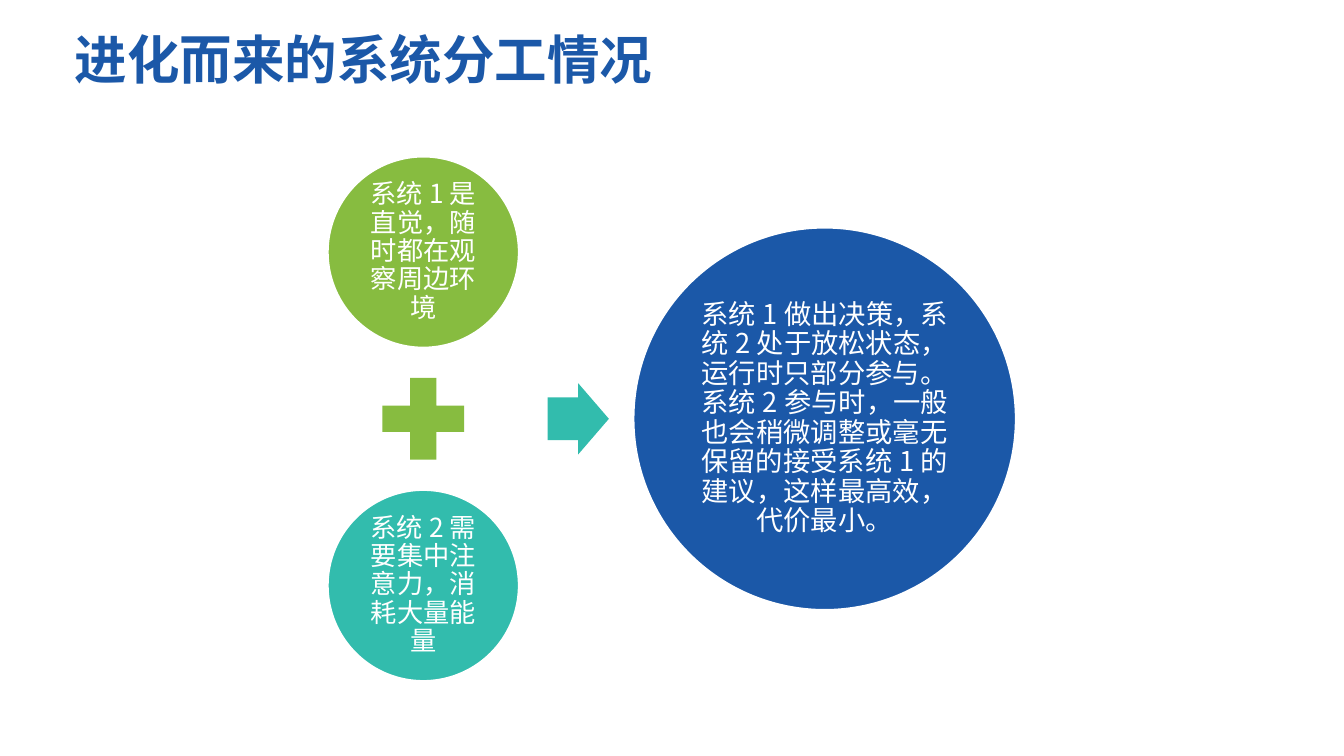
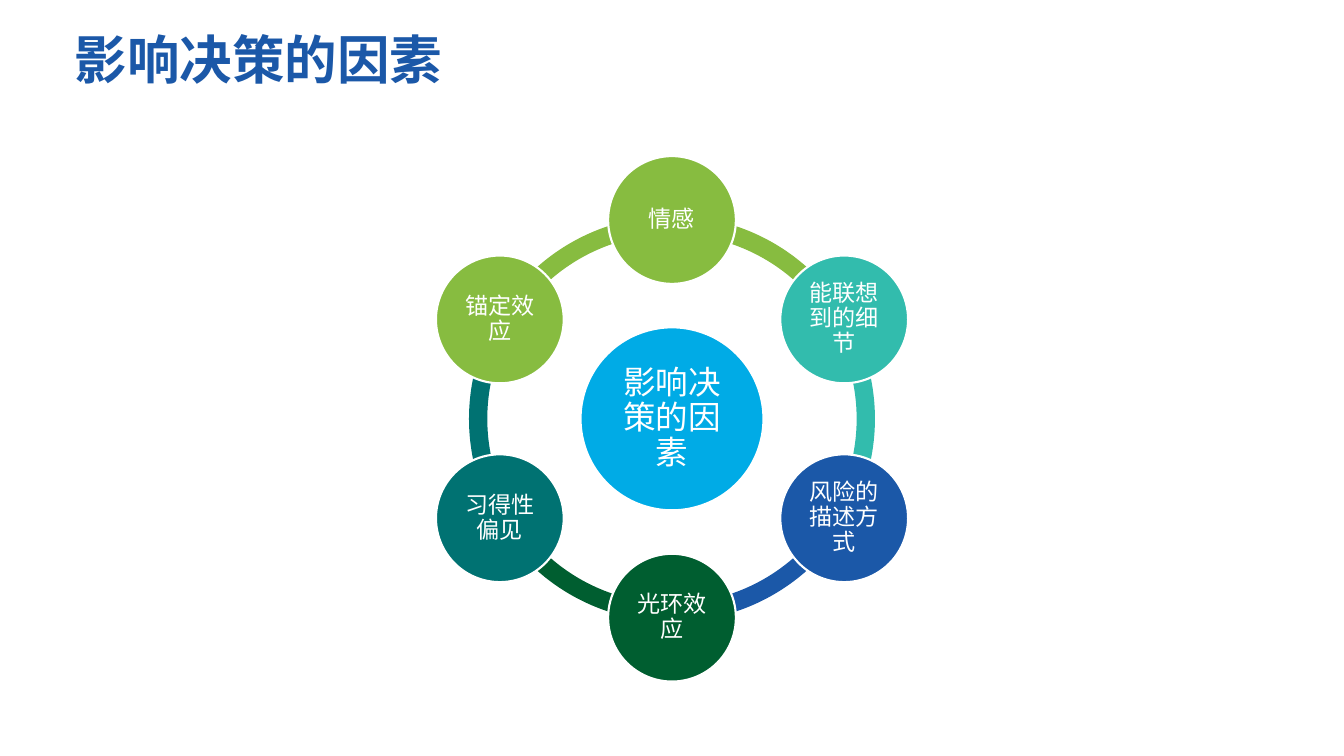
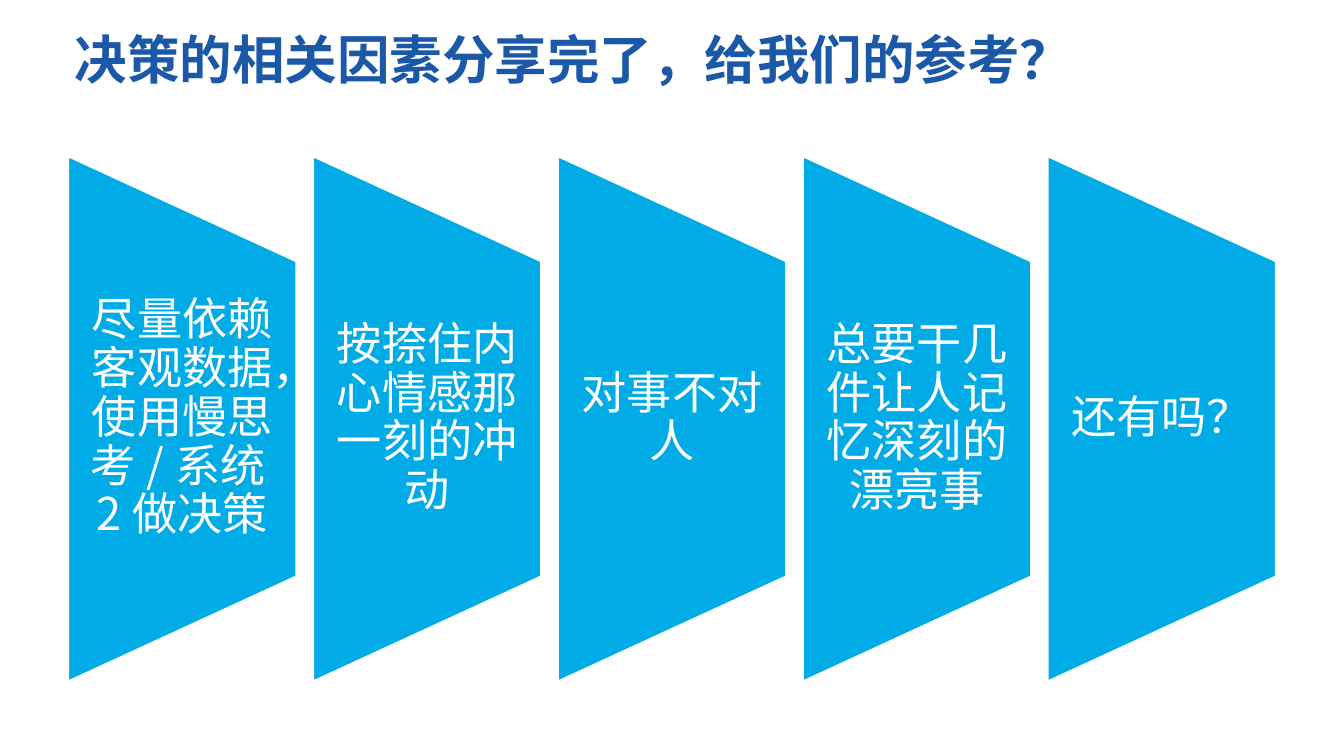
from math import cos, radians, sin

from lxml.etree import SubElement
from pptx import Presentation
from pptx.dml.color import RGBColor
from pptx.enum.shapes import MSO_SHAPE
from pptx.enum.text import MSO_ANCHOR, PP_ALIGN
from pptx.oxml.ns import qn
from pptx.util import Inches, Pt

FONT = "Noto Sans CJK SC"
WHITE, GREEN, TEAL, BLUE = "FFFFFF", "87BC40", "32BCAD", "1B58A8"
SKY, FOREST, PETROL = "00ABE6", "005E30", "007272"

DIVISION_TITLE = "进化而来的系统分工情况"
SYSTEMS = [
    ("系统1是直觉，随时都在观察周边环境", GREEN),
    ("系统2需要集中注意力，消耗大量能量", TEAL),
]
OUTCOME = (
    "系统1做出决策，系统2处于放松状态，运行时只部分参与。"
    "系统2参与时，一般也会稍微调整或毫无保留的接受系统1的建议，"
    "这样最高效，代价最小。"
)

FACTORS_TITLE = "影响决策的因素"
FACTORS = [
    ("情感", GREEN),
    ("能联想到的细节", TEAL),
    ("风险的描述方式", BLUE),
    ("光环效应", FOREST),
    ("习得性偏见", PETROL),
    ("锚定效应", GREEN),
]

ADVICE_TITLE = "决策的相关因素分享完了，给我们的参考？"
ADVICE = [
    "尽量依赖客观数据，使用慢思考/系统2做决策",
    "按捺住内心情感那一刻的冲动",
    "对事不对人",
    "总要干几件让人记忆深刻的漂亮事",
    "还有吗？",
]

MIDDLE_Y = 5.54


def color(hex_code):
    return RGBColor.from_string(hex_code)


def write(holder, text, size, hex_code=WHITE, bold=False, align=PP_ALIGN.CENTER,
          anchor=MSO_ANCHOR.MIDDLE, inset=(0.03, 0.03)):
    frame = holder.text_frame
    frame.word_wrap = True
    frame.vertical_anchor = anchor
    frame.margin_left = frame.margin_right = Inches(inset[0])
    frame.margin_top = frame.margin_bottom = Inches(inset[1])
    paragraph = frame.paragraphs[0]
    paragraph.alignment = align
    paragraph.line_spacing = 0.9
    run = paragraph.add_run()
    run.text = text
    run.font.name = FONT
    run.font.size = Pt(size)
    run.font.bold = bold
    run.font.color.rgb = color(hex_code)
    properties = run.font._element
    properties.set("lang", "zh-CN")
    SubElement(properties, qn("a:ea")).set("typeface", FONT)


def add_centered(slide, preset, center_x, center_y, width, height, fill,
                 outlined=False, adjustments=()):
    shape = slide.shapes.add_shape(
        preset, Inches(center_x - width / 2), Inches(center_y - height / 2),
        Inches(width), Inches(height))
    shape.shadow.inherit = False
    shape.fill.solid()
    shape.fill.fore_color.rgb = color(fill)
    if outlined:
        shape.line.color.rgb = color(WHITE)
        shape.line.width = Pt(2)
    else:
        shape.line.fill.background()
    for index, value in enumerate(adjustments):
        shape.adjustments[index] = value
    return shape


def add_circle(slide, center_x, center_y, diameter, fill, text, size):
    circle = add_centered(slide, MSO_SHAPE.OVAL, center_x, center_y,
                          diameter, diameter, fill, outlined=True)
    write(circle, text, size)


def add_text(slide, left, top, width, height, text, size, **style):
    box = slide.shapes.add_textbox(
        Inches(left), Inches(top), Inches(width), Inches(height))
    write(box, text, size, **style)


def add_titled_slide(deck, title):
    slide = deck.slides.add_slide(deck.slide_layouts[6])
    add_text(slide, 0.89, 0.4, 16, 1.67, title, 50, hex_code=BLUE, bold=True,
             align=PP_ALIGN.LEFT, anchor=MSO_ANCHOR.TOP, inset=(0.1, 0.05))
    return slide


def build_division(deck):
    slide = add_titled_slide(deck, DIVISION_TITLE)
    systems_x, systems_gap = 5.6, 4.41
    for index, (text, fill) in enumerate(SYSTEMS):
        center_y = MIDDLE_Y + (index - 0.5) * systems_gap
        add_circle(slide, systems_x, center_y, 2.53, fill, text, 25)
    add_centered(slide, MSO_SHAPE.MATH_PLUS, systems_x, MIDDLE_Y, 1.47, 1.47, GREEN)
    add_centered(slide, MSO_SHAPE.RIGHT_ARROW, 7.65, MIDDLE_Y, 0.81, 0.94, TEAL,
                 adjustments=(0.6, 0.5))
    add_circle(slide, 10.91, MIDDLE_Y, 5.06, BLUE, OUTCOME, 26)


def build_factors(deck):
    slide = add_titled_slide(deck, FACTORS_TITLE)
    center_x, orbit, ring = 8.89, 2.63, 5.37
    step = 360 / len(FACTORS)
    angles = [(270 + index * step) % 360 for index in range(len(FACTORS))]
    for angle, (_, fill) in zip(angles, FACTORS):
        ends = [degrees * 0.6 for degrees in (angle, (angle + step) % 360)]
        add_centered(slide, MSO_SHAPE.BLOCK_ARC, center_x, MIDDLE_Y, ring, ring, fill,
                     adjustments=(*ends, 0.045))
    add_circle(slide, center_x, MIDDLE_Y, 2.42, SKY, FACTORS_TITLE, 31)
    for angle, (text, fill) in zip(angles, FACTORS):
        add_circle(slide, center_x + orbit * cos(radians(angle)),
                   MIDDLE_Y + orbit * sin(radians(angle)), 1.69, fill, text, 22)


def build_advice(deck):
    slide = add_titled_slide(deck, ADVICE_TITLE)
    left, pitch, panel_width, panel_height = 0.9, 3.24, 3.02, 6.95
    text_height = panel_height * 0.6
    for index, text in enumerate(ADVICE):
        panel_left = left + index * pitch
        panel = add_centered(slide, MSO_SHAPE.FLOWCHART_MANUAL_OPERATION,
                             panel_left + panel_width / 2, MIDDLE_Y,
                             panel_height, panel_width, SKY, outlined=True)
        panel.rotation = 270
        add_text(slide, panel_left, MIDDLE_Y - text_height / 2, panel_width,
                 text_height, text, 43, inset=(0.3, 0))


def main():
    deck = Presentation()
    deck.slide_width, deck.slide_height = Inches(17.78), Inches(10)
    build_division(deck)
    build_factors(deck)
    build_advice(deck)
    deck.save("out.pptx")


if __name__ == "__main__":
    main()
